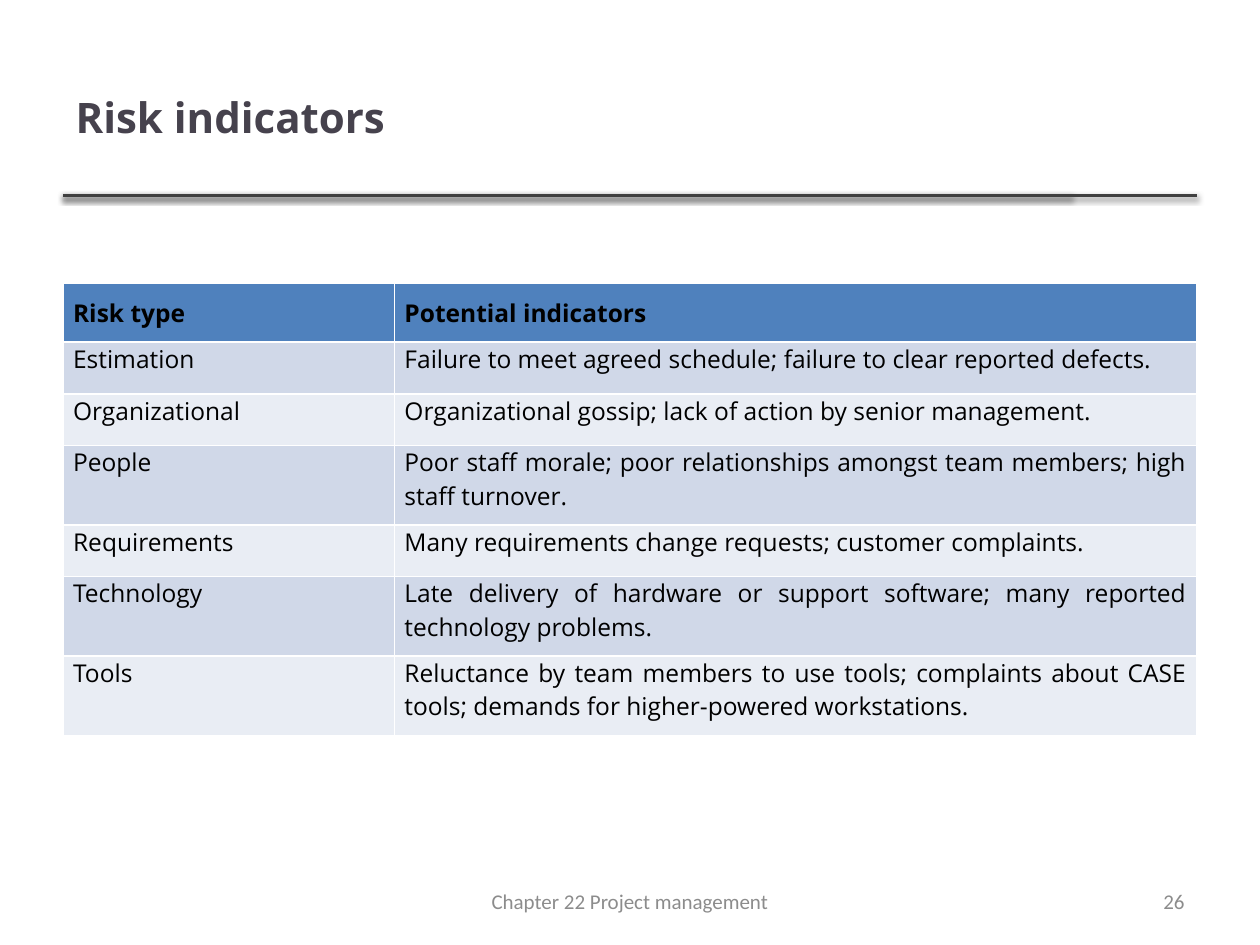
import lxml.etree
import pptx
import pptx.dml.color
import pptx.enum.shapes
import pptx.enum.text
import pptx.oxml.ns
import pptx.util

Inches = pptx.util.Inches
ALIGN = pptx.enum.text.PP_ALIGN
MIDDLE = pptx.enum.text.MSO_ANCHOR.MIDDLE

WIDTH, HEIGHT, MARGIN = 10, 7.5, 0.5
HEADING = {"name": "Open Sans", "size": pptx.util.Pt(24), "bold": True}
HEADER = {"name": "Open Sans", "size": pptx.util.Pt(14), "bold": True}
BODY = {**HEADER, "bold": False}
FOOTER = {"name": "Calibri", "size": pptx.util.Pt(12), "bold": False}

RISKS = [
    ("Risk type", "Potential indicators"),
    ("Estimation", "Failure to meet agreed schedule; failure to clear reported defects."),
    ("Organizational", "Organizational gossip; lack of action by senior management."),
    ("People", "Poor staff morale; poor relationships amongst team members; "
               "high staff turnover."),
    ("Requirements", "Many requirements change requests; customer complaints."),
    ("Technology", "Late delivery of hardware or support software; "
                   "many reported technology problems."),
    ("Tools", "Reluctance by team members to use tools; complaints about CASE tools; "
              "demands for higher-powered workstations."),
]


def color(value):
    return pptx.dml.color.RGBColor.from_string(value)


def write(text_frame, text, font_format, text_color, alignment):
    text_frame.text = text
    text_frame.word_wrap = True
    paragraph = text_frame.paragraphs[0]
    paragraph.alignment = alignment
    font = paragraph.runs[0].font
    for name, value in font_format.items():
        setattr(font, name, value)
    font.color.rgb = color(text_color)


def place(shape, box):
    for name, value in zip(("left", "top", "width", "height"), box):
        setattr(shape, name, Inches(value))


def add_shadow(connector):
    namespace = pptx.oxml.ns.nsdecls("a")
    connector._element.spPr.append(lxml.etree.fromstring(
        f'<a:effectLst {namespace}><a:outerShdw blurRad="{pptx.util.Pt(3.1)}" '
        f'dist="{pptx.util.Pt(1.6)}" dir="5400000" rotWithShape="0">'
        '<a:srgbClr val="000000"><a:alpha val="38000"/></a:srgbClr>'
        '</a:outerShdw></a:effectLst>'))


def add_heading(slide, box):
    left, top, width, height = box
    bottom = top + height
    # Two overlapping rules: a short one under the title and a full-width one
    for length in (width - 1, width):
        rule = slide.shapes.add_connector(
            pptx.enum.shapes.MSO_CONNECTOR.STRAIGHT,
            Inches(left), Inches(bottom), Inches(left + length), Inches(bottom))
        rule.line.color.rgb = color("404040")
        rule.line.width = pptx.util.Pt(2)
        add_shadow(rule)
    title = slide.shapes.title
    place(title, (left, top, width - 1, height))
    write(title.text_frame, "Risk indicators", HEADING, "46424D", ALIGN.LEFT)
    title.text_frame.vertical_anchor = MIDDLE


def add_risk_table(slide, box):
    left, top, width, height = map(Inches, box)
    table = slide.shapes.add_table(len(RISKS), 2, left, top, width, height).table
    table.columns[0].width = Inches(2.63)
    table.columns[1].width = width - Inches(2.63)
    for row, texts in enumerate(RISKS):
        table.rows[row].height = Inches(0.41)
        is_header = row == 0
        fill = "4F81BD" if is_header else ("E9EDF4", "D0D8E8")[row % 2]
        margins = {"margin_left": 0.08, "margin_right": 0.08,
                   "margin_top": 0.1 if is_header else 0, "margin_bottom": 0.1}
        for column, text in enumerate(texts):
            cell = table.cell(row, column)
            for name, value in margins.items():
                setattr(cell, name, Inches(value))
            cell.fill.solid()
            cell.fill.fore_color.rgb = color(fill)
            write(cell.text_frame, text, HEADER if is_header else BODY,
                  "000000", ALIGN.JUSTIFY)


def add_footer(slide, box):
    left, top, width, height = box
    number_width = 2.33
    parts = [
        ("Chapter 22 Project management", (WIDTH - 3.17) / 2, 3.17, ALIGN.CENTER),
        ("26", left + width - number_width, number_width, ALIGN.RIGHT),
    ]
    for text, part_left, part_width, alignment in parts:
        shape = slide.shapes.add_textbox(0, 0, 0, 0)
        place(shape, (part_left, top, part_width, height))
        write(shape.text_frame, text, FOOTER, "8C8C8C", alignment)
        shape.text_frame.vertical_anchor = MIDDLE


def main():
    presentation = pptx.Presentation()
    presentation.slide_width = Inches(WIDTH)
    presentation.slide_height = Inches(HEIGHT)
    slide = presentation.slides.add_slide(presentation.slide_layouts[5])
    content_width = WIDTH - 2 * MARGIN
    add_heading(slide, (MARGIN, 0.3, content_width, 1.25))
    add_risk_table(slide, (MARGIN, HEIGHT * 0.3, content_width, 0.41 * len(RISKS)))
    add_footer(slide, (MARGIN, 6.95, content_width, 0.4))
    presentation.save("out.pptx")


if __name__ == "__main__":
    main()
